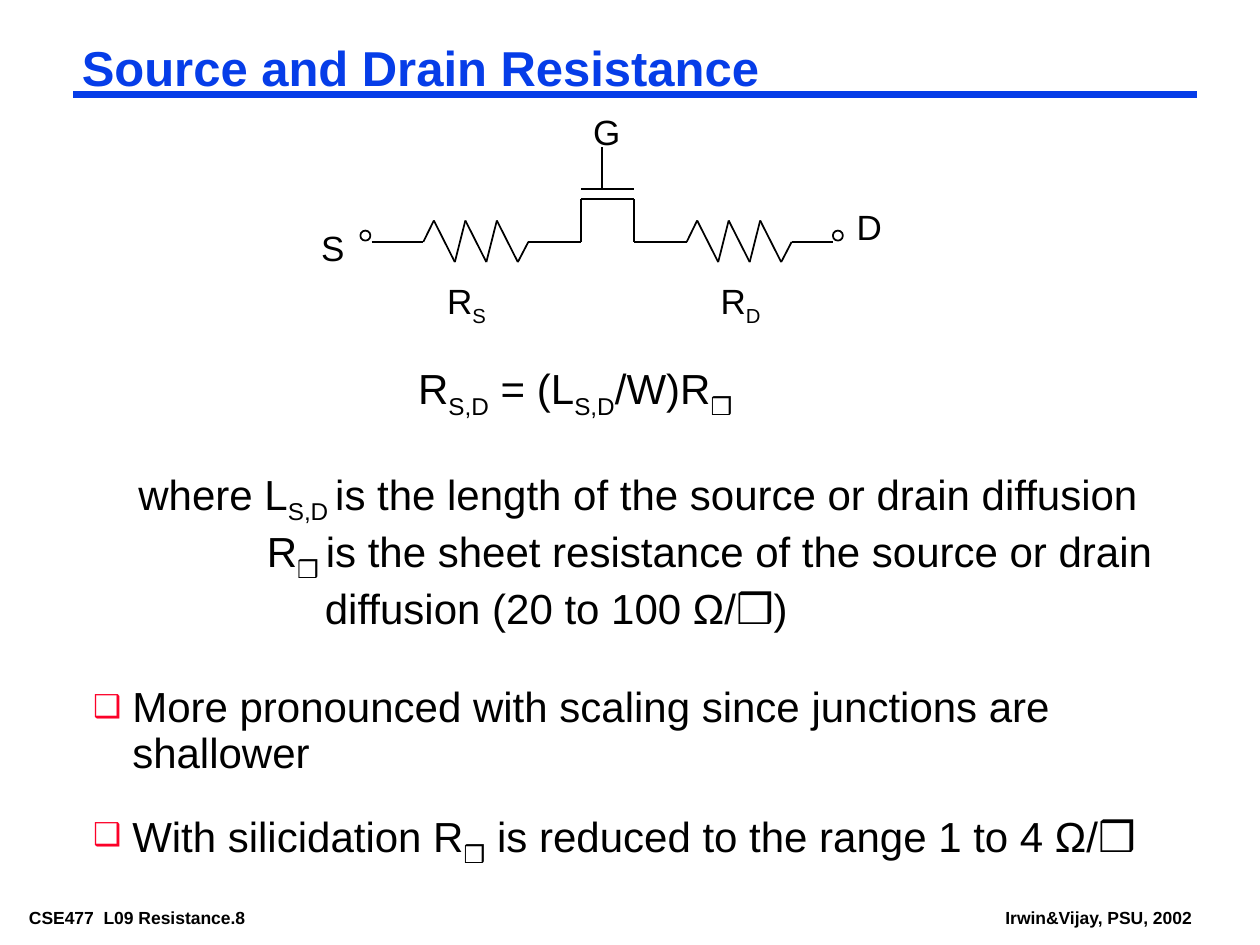
from dataclasses import dataclass
from itertools import pairwise

from lxml import etree
from pptx import Presentation
from pptx.dml.color import RGBColor
from pptx.enum.shapes import MSO_CONNECTOR, MSO_SHAPE
from pptx.oxml.ns import qn
from pptx.util import Inches, Pt

STRAIGHT = MSO_CONNECTOR.STRAIGHT
OVAL = MSO_SHAPE.OVAL

Point = tuple[float, float]
Box = tuple[float, float, float, float]


@dataclass(frozen=True)
class Theme:
    font: str = "Arial"
    ink: str = "000000"
    accent: str = "063DE8"
    bullet: str = "FC0128"
    title: float = 28
    body: float = 24
    label: float = 20
    footer: float = 10
    rule: float = 4.5
    wire: float = 1


@dataclass(frozen=True)
class Line:
    text: str
    indent: float = 0
    before: float = 0


@dataclass(frozen=True)
class Label:
    text: str
    box: Box
    wrap: bool = True


THEME = Theme()
NARROW_INSETS = (0.07, 0.03)
WIDE_INSETS = (0.1, 0.05)

WIRE_Y = 1.92
PEAK_Y, TROUGH_Y = 1.75, 2.08
GATE_Y, CHANNEL_Y = 1.5, 1.58
SOURCE_X, DRAIN_X = 4.61, 5.03
TERMINAL_SIZE = 0.08
RESISTOR_STEPS = (0, 1, 3, 4, 6, 7, 9, 10)
RESISTOR_STEP = 1 / 12
RESISTOR_WIDTH = RESISTOR_STEPS[-1] * RESISTOR_STEP

FOOTERS = (
    Label("CSE477  L09 Resistance.8", (0.16, 7.17, 2.45, 0.22)),
    Label("Irwin&Vijay, PSU, 2002", (7.91, 7.17, 1.63, 0.22), False),
)
CIRCUIT_LABELS = (
    Label("R|S", (3.45, 2.17, 0.51, 0.48), False),
    Label("R|D", (5.62, 2.17, 0.52, 0.48), False),
    Label("S", (2.45, 1.75, 0.39, 0.44)),
    Label("G", (4.61, 0.83, 0.39, 0.44)),
    Label("D", (6.7, 1.58, 0.39, 0.44)),
)
FORMULA = (
    Line("R|S,D| = (L|S,D|/W)R|❒", indent=2.22),
    Line("where L|S,D |is the length of the source or drain diffusion", before=27.5),
    Line("R|❒ |is the sheet resistance of the source or drain", indent=1.02),
    Line("diffusion (20 to 100 Ω/❒)", indent=1.48),
)
REMARKS = (
    Line("More pronounced with scaling since junctions are shallower", indent=0.31),
    Line("With silicidation R|❒| is reduced to the range 1 to 4 Ω/❒",
         indent=0.31, before=19.5),
)


def add_bullet(properties, indent: float) -> None:
    properties.set("indent", str(-Inches(indent)))
    color = etree.SubElement(properties, qn("a:buClr"))
    etree.SubElement(color, qn("a:srgbClr"), val=THEME.bullet)
    etree.SubElement(properties, qn("a:buSzPct"), val="75000")
    etree.SubElement(properties, qn("a:buFont"), typeface=THEME.font)
    etree.SubElement(properties, qn("a:buChar"), char="❑")


def add_text(slide, lines: tuple[Line, ...], box: Box, *, size: float,
             color: str = THEME.ink, bold: bool = False, wrap: bool = True,
             insets: tuple[float, float] = WIDE_INSETS,
             spacing: float | None = None, bulleted: bool = False) -> None:
    frame = slide.shapes.add_textbox(*map(Inches, box)).text_frame
    frame.word_wrap = wrap
    frame.margin_left = frame.margin_right = Inches(insets[0])
    frame.margin_top = frame.margin_bottom = Inches(insets[1])
    for index, line in enumerate(lines):
        paragraph = frame.add_paragraph() if index else frame.paragraphs[0]
        if spacing:
            paragraph.line_spacing = spacing
        if line.before:
            paragraph.space_before = Pt(line.before)
        properties = paragraph._p.get_or_add_pPr()
        properties.set("marL", str(Inches(line.indent)))
        if bulleted:
            add_bullet(properties, line.indent)
        for part, words in enumerate(line.text.split("|")):
            run = paragraph.add_run()
            run.text = words
            run.font.name = THEME.font
            run.font.size = Pt(size)
            run.font.bold = bold
            run.font.color.rgb = RGBColor.from_string(color)
            if part % 2:
                run.font._element.set("baseline", "-25000")


def add_path(slide, points: list[Point], color: str = THEME.ink,
             width: float = THEME.wire) -> None:
    for start, end in pairwise(points):
        segment = slide.shapes.add_connector(STRAIGHT, *map(Inches, start + end))
        segment.line.color.rgb = RGBColor.from_string(color)
        segment.line.width = Pt(width)
        etree.SubElement(segment._element.spPr, qn("a:effectLst"))


def add_terminal(slide, left: float) -> None:
    terminal = slide.shapes.add_shape(
        OVAL, Inches(left), Inches(1.83), Inches(TERMINAL_SIZE), Inches(TERMINAL_SIZE))
    terminal.shadow.inherit = False
    terminal.fill.background()
    terminal.line.color.rgb = RGBColor.from_string(THEME.ink)
    terminal.line.width = Pt(THEME.wire)


def add_resistor(slide, left: float) -> None:
    heights = (WIRE_Y, *(PEAK_Y, TROUGH_Y) * 3, WIRE_Y)
    add_path(slide, [(left + step * RESISTOR_STEP, y)
                     for step, y in zip(RESISTOR_STEPS, heights)])


def add_circuit(slide) -> None:
    source_resistor, drain_resistor = 3.36, 5.45
    for left in (2.86, 6.61):
        add_terminal(slide, left)
    for left in (source_resistor, drain_resistor):
        add_resistor(slide, left)
    add_path(slide, [(2.95, WIRE_Y), (source_resistor, WIRE_Y)])
    add_path(slide, [(source_resistor + RESISTOR_WIDTH, WIRE_Y), (SOURCE_X, WIRE_Y),
                     (SOURCE_X, CHANNEL_Y), (DRAIN_X, CHANNEL_Y),
                     (DRAIN_X, WIRE_Y), (drain_resistor, WIRE_Y)])
    add_path(slide, [(drain_resistor + RESISTOR_WIDTH, WIRE_Y), (6.61, WIRE_Y)])
    add_path(slide, [(SOURCE_X, GATE_Y), (DRAIN_X, GATE_Y)])
    add_path(slide, [(4.78, 1.17), (4.78, GATE_Y)])
    for label in CIRCUIT_LABELS:
        add_text(slide, (Line(label.text),), label.box, size=THEME.label, wrap=label.wrap)


def main() -> None:
    deck = Presentation()
    deck.slide_width, deck.slide_height = Inches(10), Inches(7.5)
    slide = deck.slides.add_slide(deck.slide_layouts[6])
    for footer in FOOTERS:
        add_text(slide, (Line(footer.text),), footer.box, size=THEME.footer,
                 bold=True, wrap=footer.wrap, insets=NARROW_INSETS)
    add_path(slide, [(0.58, 0.75), (9.5, 0.75)], THEME.accent, THEME.rule)
    add_text(slide, (Line("Source and Drain Resistance"),), (0.58, 0.33, 8.92, 0.46),
             size=THEME.title, color=THEME.accent, bold=True,
             insets=NARROW_INSETS, spacing=0.87)
    add_text(slide, REMARKS, (0.67, 5.42, 8.83, 1.46), size=THEME.body,
             insets=NARROW_INSETS, spacing=0.9, bulleted=True)
    add_circuit(slide)
    add_text(slide, FORMULA, (1, 2.83, 8.42, 2.72), size=THEME.body)
    deck.save("out.pptx")


if __name__ == "__main__":
    main()
